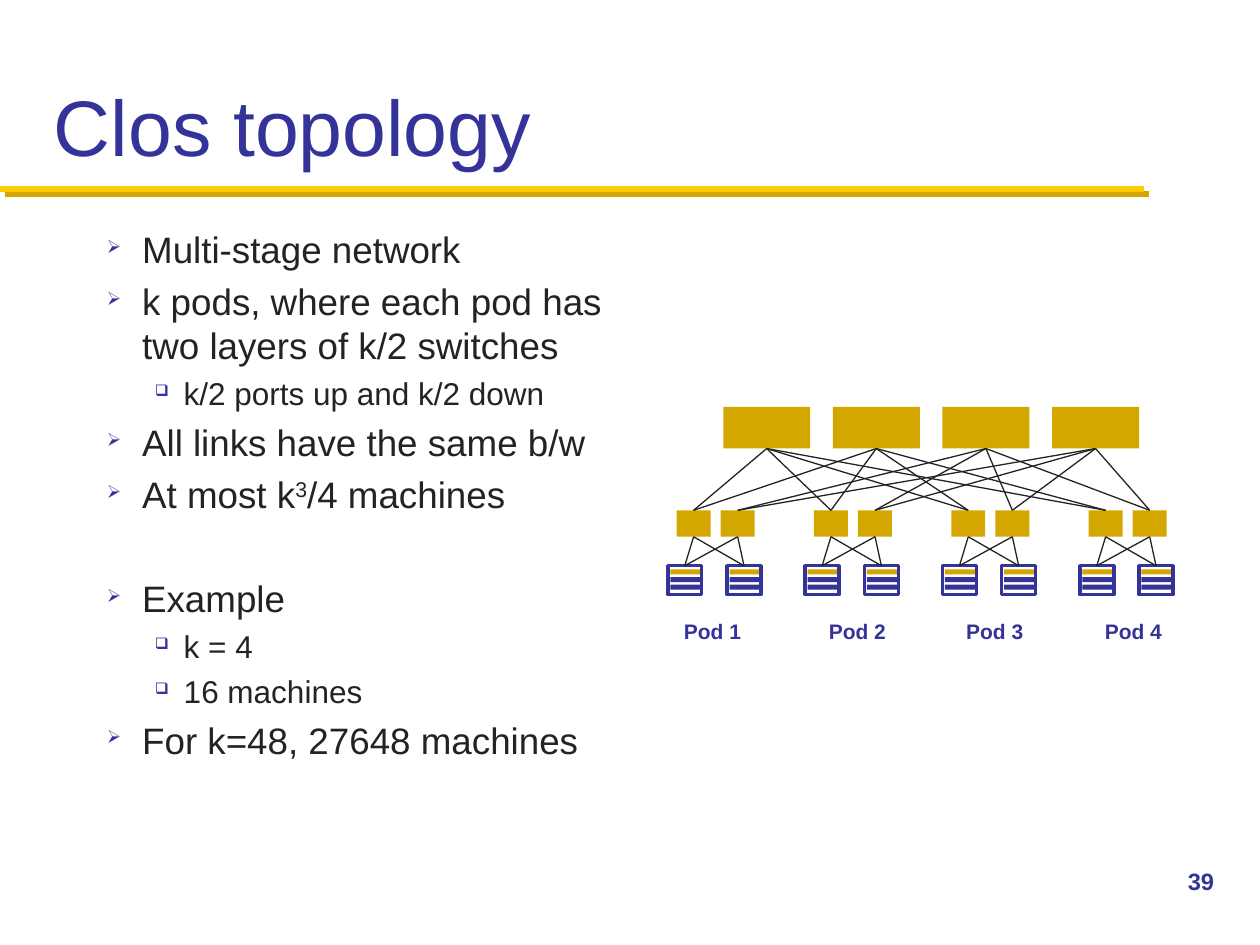
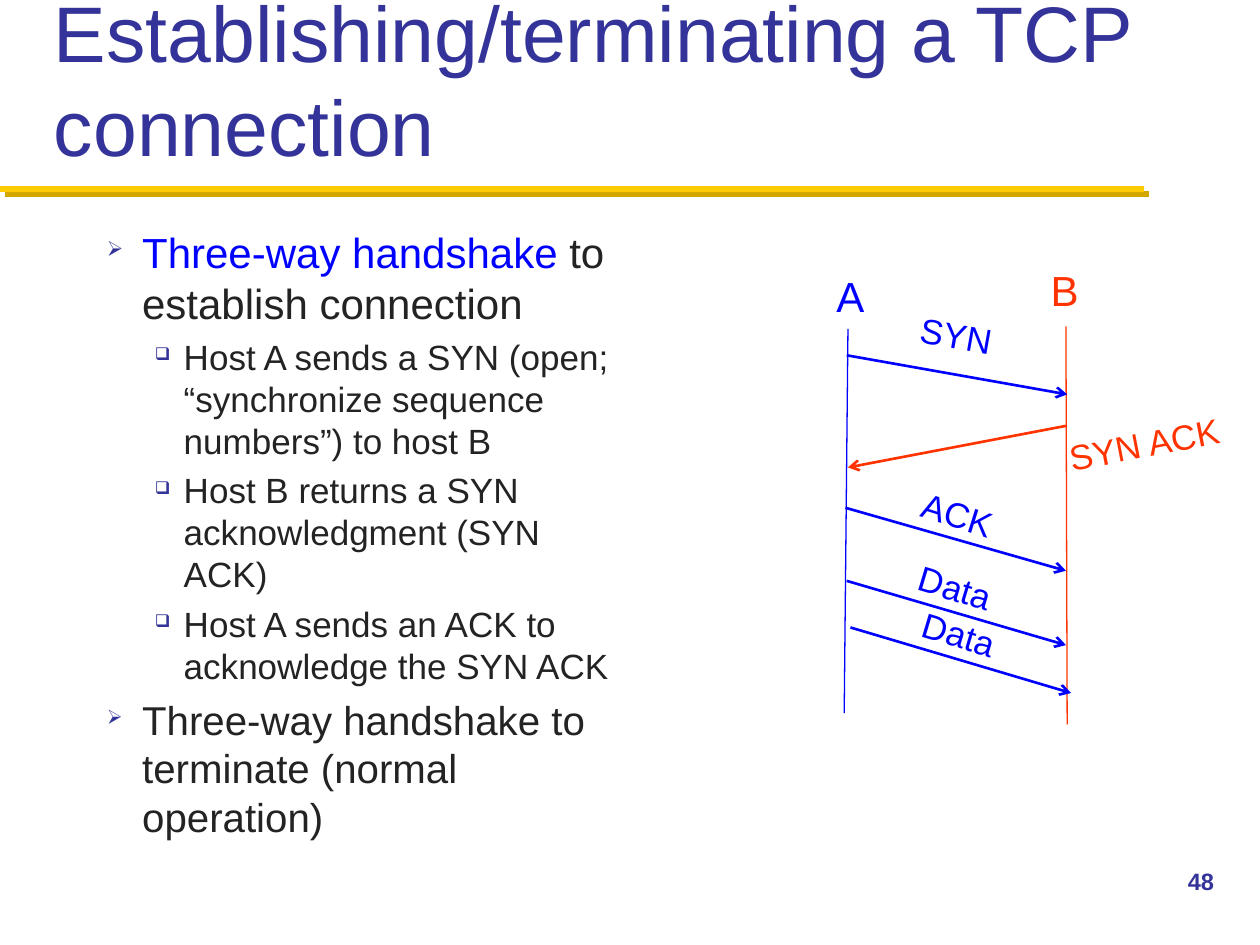
from dataclasses import dataclass
from typing import NamedTuple

from lxml import etree
from pptx import Presentation
from pptx import util as u
from pptx.dml import color as dml
from pptx.enum import shapes, text
from pptx.oxml import ns


@dataclass(frozen=True)
class Theme:
    font: str = "Arial"
    navy: str = "333399"
    gold: str = "D3A600"
    yellow: str = "FFCB05"
    ink: str = "232323"
    blue: str = "0000FF"
    red: str = "FF3300"
    title_size: float = 45
    page_size: float = 13.5
    pod_size: float = 12
    host_size: float = 24
    message_size: float = 20


THEME = Theme()


class Box(NamedTuple):
    left: float
    top: float
    width: float
    height: float

    def lengths(self) -> list:
        return [u.Inches(value) for value in self]


class Point(NamedTuple):
    x: float
    y: float


class Run(NamedTuple):
    words: str
    color: str = THEME.ink
    superscript: bool = False


class Level(NamedTuple):
    mark: str
    margin: float
    hang: float


class Item(NamedTuple):
    runs: list
    size: float
    level: int = 0
    gap: float = 0


class Message(NamedTuple):
    label: str
    start: Point
    end: Point
    center: Point
    angle: float
    color: str


LEVELS = (Level("➢", 0.28, 0.28), Level("❑", 0.61, 0.23))
TITLE_BOX = Box(0.33, 0.17, 9.33, 1.25)
BODY_BOX = Box(0.75, 1.75, 4.25, 4.83)
PAGE_BOX = Box(9.33, 6.83, 0.67, 0.5)

CLOS_POINTS = [
    Item([Run("Multi-stage network")], 21),
    Item([Run("k pods, where each pod has two layers of k/2 switches")], 21),
    Item([Run("k/2 ports up and k/2 down")], 18, 1),
    Item([Run("All links have the same b/w")], 21),
    Item([Run("At most k"), Run("3", superscript=True), Run("/4 machines")], 21),
    Item([Run("Example")], 21, gap=29.5),
    Item([Run("k = 4")], 18, 1),
    Item([Run("16 machines")], 18, 1),
    Item([Run("For k=48, 27648 machines")], 21),
]
TCP_POINTS = [
    Item([Run("Three-way handshake", THEME.blue), Run(" to establish connection")], 24),
    Item([Run("Host A sends a SYN (open; “synchronize sequence numbers”) to host B")], 20, 1),
    Item([Run("Host B returns a SYN acknowledgment (SYN ACK)")], 20, 1),
    Item([Run("Host A sends an ACK to acknowledge the SYN ACK")], 20, 1),
    Item([Run("Three-way handshake to terminate (normal operation)")], 23),
]
MESSAGES = [
    Message("SYN", Point(6.72, 2.82), Point(8.47, 3.13), Point(7.59, 2.66), 10.1, THEME.blue),
    Message("SYN ACK", Point(8.46, 3.38), Point(6.73, 3.71), Point(9.08, 3.52), -10.9, THEME.red),
    Message("ACK", Point(6.71, 4.03), Point(8.46, 4.53), Point(7.6, 4.08), 17.4, THEME.blue),
    Message("Data", Point(6.72, 4.61), Point(8.46, 5.12), Point(7.58, 4.66), 16.7, THEME.blue),
    Message("Data", Point(6.75, 4.98), Point(8.5, 5.5), Point(7.61, 5.03), 16.7, THEME.blue),
]


def rgb(value: str) -> dml.RGBColor:
    return dml.RGBColor.from_string(value)


def add_child(parent, tag: str, **attributes):
    child = etree.SubElement(parent, ns.qn(tag))
    for name, value in attributes.items():
        child.set(name, str(value))
    return child


def format_run(run, size: float, color: str, bold: bool = False) -> None:
    run.font.name = THEME.font
    run.font.size = u.Pt(size)
    run.font.bold = bold
    run.font.color.rgb = rgb(color)


def add_text(slide, box: Box, words: str, *, size: float, color: str = THEME.navy,
             bold: bool = False, align=text.PP_ALIGN.LEFT, anchor=text.MSO_ANCHOR.TOP,
             wrap: bool = False, angle: float = 0) -> None:
    label = slide.shapes.add_textbox(*box.lengths())
    label.rotation = angle
    frame = label.text_frame
    frame.word_wrap = wrap
    frame.vertical_anchor = anchor
    paragraph = frame.paragraphs[0]
    paragraph.alignment = align
    run = paragraph.add_run()
    run.text = words
    format_run(run, size, color, bold)


def add_bullets(slide, items: list) -> None:
    frame = slide.shapes.add_textbox(*BODY_BOX.lengths()).text_frame
    frame.word_wrap = True
    for index, item in enumerate(items):
        paragraph = frame.add_paragraph() if index else frame.paragraphs[0]
        level = LEVELS[item.level]
        paragraph.level = item.level
        paragraph.space_before = u.Pt(0.22 * item.size + item.gap)
        properties = paragraph._p.get_or_add_pPr()
        properties.set("marL", str(u.Inches(level.margin)))
        properties.set("indent", str(-u.Inches(level.hang)))
        add_child(add_child(properties, "a:buClr"), "a:srgbClr", val=THEME.navy)
        add_child(properties, "a:buSzPct", val=50000)
        add_child(properties, "a:buChar", char=level.mark)
        for part in item.runs:
            run = paragraph.add_run()
            run.text = part.words
            format_run(run, item.size, part.color)
            if part.superscript:
                run._r.get_or_add_rPr().set("baseline", "30000")


def add_line(slide, start: Point, end: Point, color: str, width: float,
             arrow: bool = False, shadow: str = ""):
    line = slide.shapes.add_connector(
        shapes.MSO_CONNECTOR.STRAIGHT, *[u.Inches(value) for value in (*start, *end)])
    line.line.color.rgb = rgb(color)
    line.line.width = u.Pt(width)
    if arrow:
        add_child(line.line._get_or_add_ln(), "a:tailEnd", type="arrow")
    effects = add_child(line._element.spPr, "a:effectLst")
    if shadow:
        cast = add_child(effects, "a:outerShdw", dist=u.Pt(4.2), dir=45 * 60000, rotWithShape=0)
        add_child(cast, "a:srgbClr", val=shadow)
    return line


def add_block(slide, box: Box, fill: str = "", outline: str = ""):
    block = slide.shapes.add_shape(shapes.MSO_SHAPE.RECTANGLE, *box.lengths())
    block.shadow.inherit = False
    if fill:
        block.fill.solid()
        block.fill.fore_color.rgb = rgb(fill)
    else:
        block.fill.background()
    if outline:
        block.line.color.rgb = rgb(outline)
        block.line.width = u.Pt(2)
    else:
        block.line.fill.background()
    return block


def link(slide, upper, lower) -> None:
    cable = add_line(slide, Point(0, 0), Point(1, 1), THEME.ink, 0.75)
    cable.begin_connect(upper, 2)
    cable.end_connect(lower, 0)


def add_rack(slide, left: float):
    for row, color in enumerate((THEME.gold, THEME.navy, THEME.navy)):
        add_block(slide, Box(left + 0.02, 4.52 + 0.06 * row, 0.24, 0.04), fill=color)
    return add_block(slide, Box(left, 4.49, 0.27, 0.23), outline=THEME.navy)


def add_clos_network(slide) -> None:
    cores = [add_block(slide, Box(5.74 + 0.87 * i, 3.23, 0.69, 0.33), fill=THEME.gold)
             for i in range(4)]
    for pod, label_left in enumerate((5.33, 6.48, 7.57, 8.67)):
        left = 5.3 + 1.09 * pod
        racks = [add_rack(slide, left + 0.47 * side) for side in range(2)]
        for side in range(2):
            switch = add_block(slide, Box(left + 0.07 + 0.35 * side, 4.05, 0.27, 0.21),
                               fill=THEME.gold)
            for core in cores[2 * side:2 * side + 2]:
                link(slide, core, switch)
            for rack in racks:
                link(slide, switch, rack)
        add_text(slide, Box(label_left, 4.86, 0.66, 0.3), f"Pod {pod + 1}",
                 size=THEME.pod_size, bold=True)


def add_centered(slide, box: Box, words: str, size: float, color: str, angle: float = 0) -> None:
    add_text(slide, box, words, size=size, color=color, angle=angle,
             align=text.PP_ALIGN.CENTER, anchor=text.MSO_ANCHOR.MIDDLE)


def add_handshake(slide) -> None:
    add_line(slide, Point(8.46, 2.59), Point(8.47, 5.75), THEME.red, 0.75)
    add_line(slide, Point(6.73, 2.61), Point(6.7, 5.66), THEME.blue, 0.75)
    add_centered(slide, Box(6.53, 2.1, 0.44, 0.5), "A", THEME.host_size, THEME.blue)
    add_centered(slide, Box(8.24, 2.05, 0.42, 0.5), "B", THEME.host_size, THEME.red)
    for message in MESSAGES:
        add_line(slide, message.start, message.end, message.color, 1.5, arrow=True)
        width = 1.43 if len(message.label) > 4 else 0.8
        box = Box(message.center.x - width / 2, message.center.y - 0.22, width, 0.44)
        add_centered(slide, box, message.label, THEME.message_size, message.color, message.angle)


def add_page(deck, title: str, number: int, items: list):
    slide = deck.slides.add_slide(deck.slide_layouts[6])
    add_line(slide, Point(0, 1.5), Point(9.08, 1.5), THEME.yellow, 3.5, shadow=THEME.gold)
    add_text(slide, TITLE_BOX, title, size=THEME.title_size, wrap=True,
             anchor=text.MSO_ANCHOR.BOTTOM)
    add_bullets(slide, items)
    add_text(slide, PAGE_BOX, str(number), size=THEME.page_size, bold=True, wrap=True)
    return slide


def main() -> None:
    deck = Presentation()
    deck.slide_width, deck.slide_height = u.Inches(10), u.Inches(7.5)
    add_clos_network(add_page(deck, "Clos topology", 39, CLOS_POINTS))
    add_handshake(add_page(deck, "Establishing/terminating a TCP connection", 48, TCP_POINTS))
    deck.save("out.pptx")


if __name__ == "__main__":
    main()
